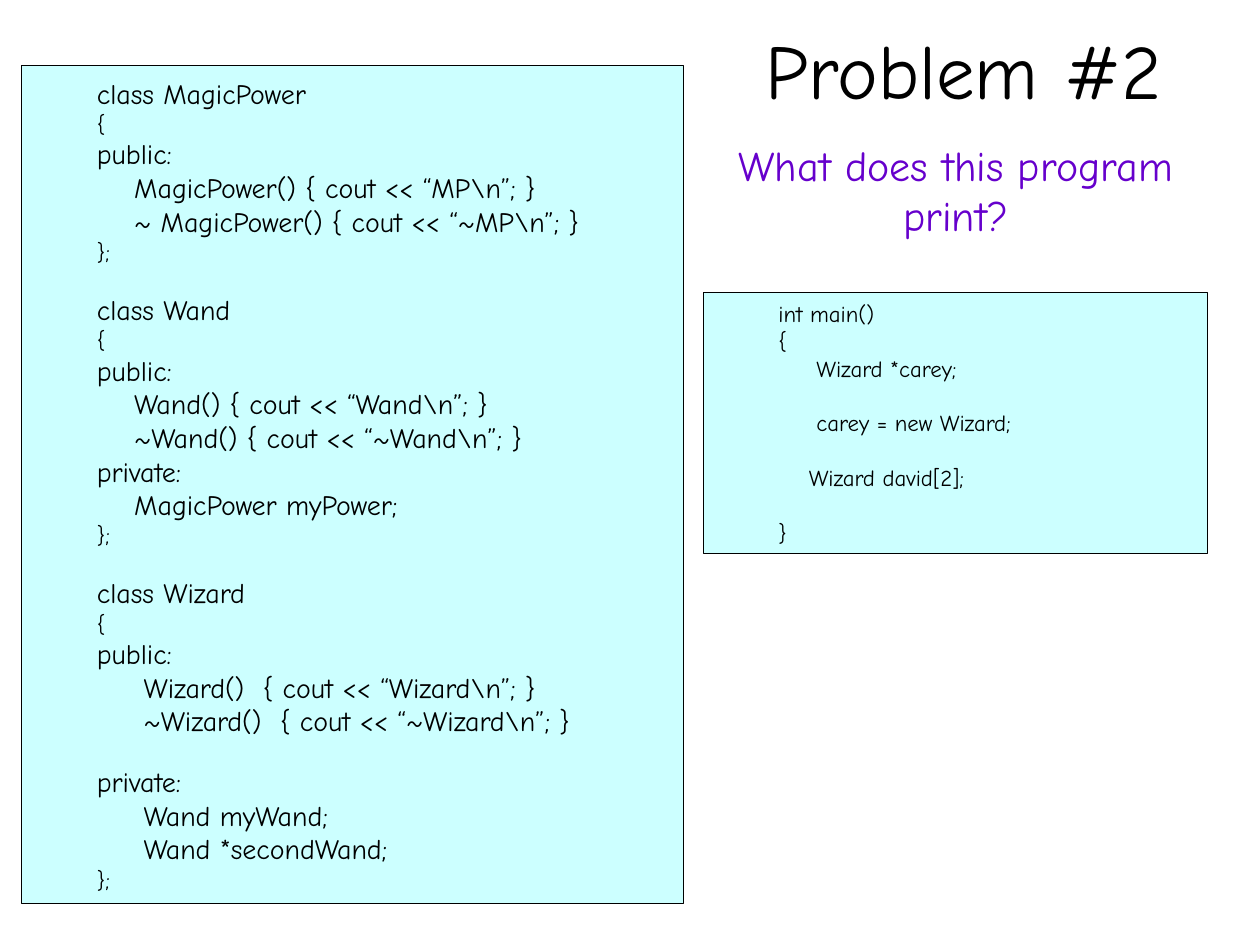
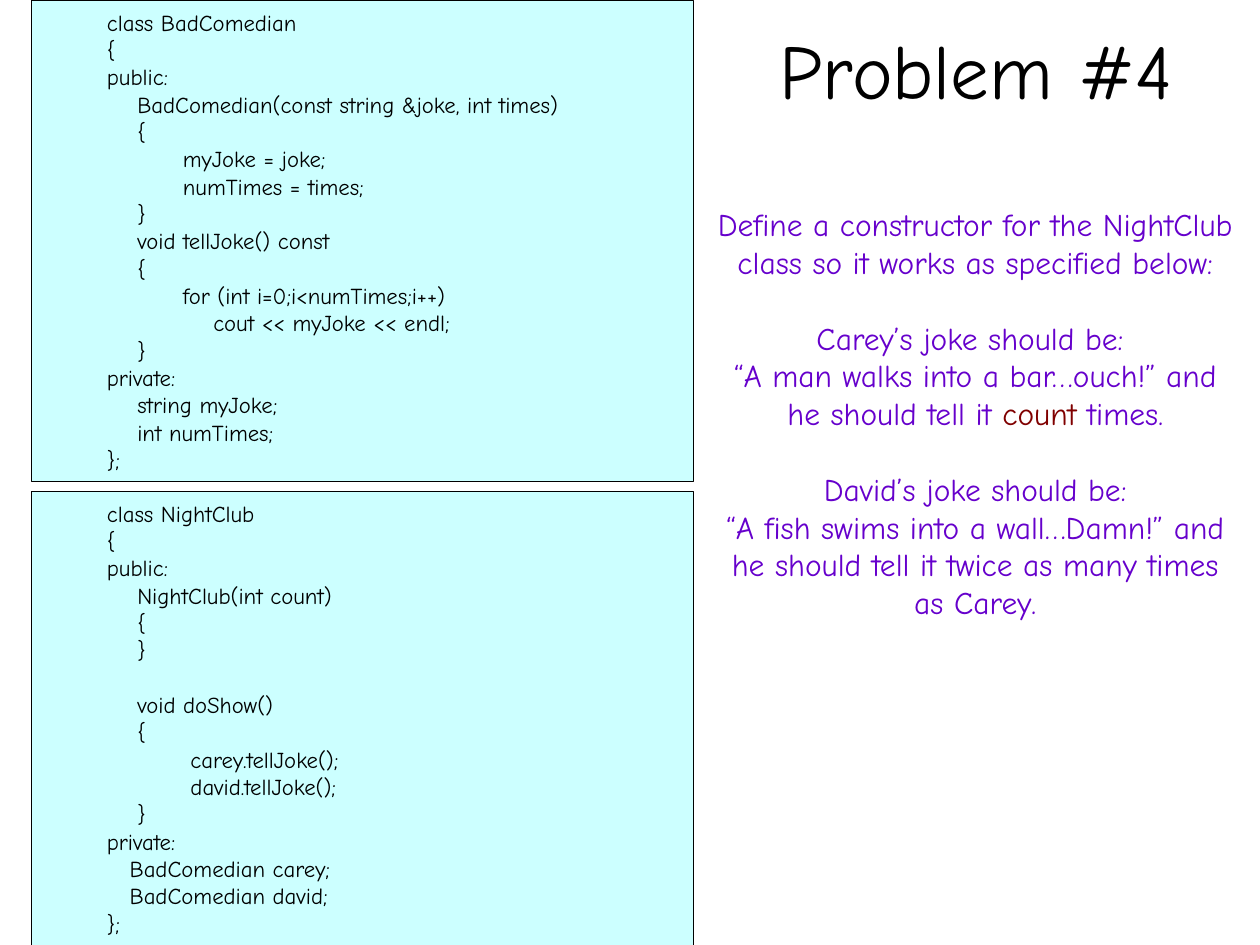
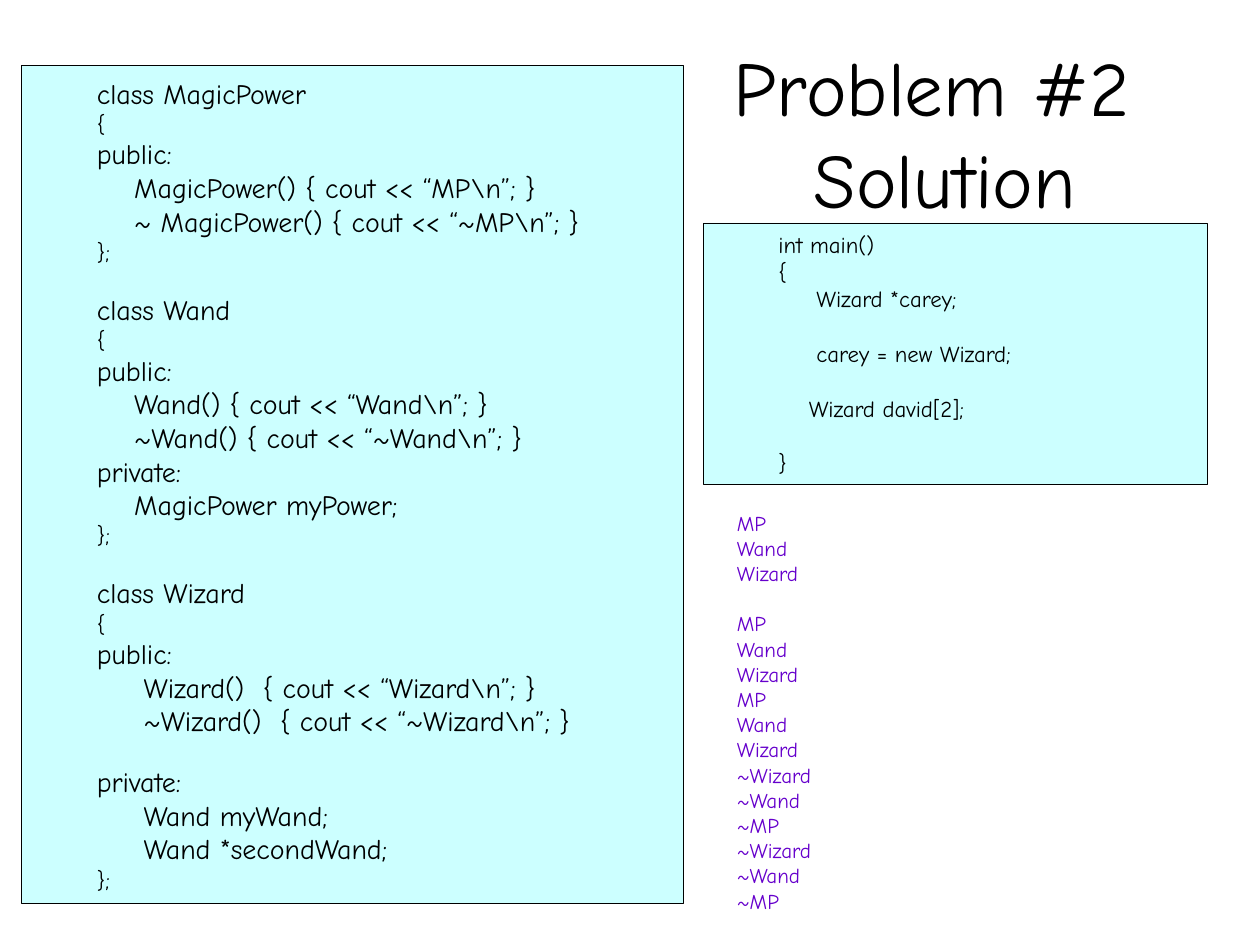
from pptx import Presentation
from pptx.dml.color import RGBColor
from pptx.enum.shapes import MSO_SHAPE
from pptx.enum.text import MSO_ANCHOR, MSO_AUTO_SIZE, PP_ALIGN
from pptx.util import Inches, Pt

RECTANGLE = MSO_SHAPE.RECTANGLE
MIDDLE, TOP = MSO_ANCHOR.MIDDLE, MSO_ANCHOR.TOP
GROW = MSO_AUTO_SIZE.SHAPE_TO_FIT_TEXT
LEFT, CENTER = PP_ALIGN.LEFT, PP_ALIGN.CENTER

FONT = "Comic Neue"
INK, PANEL, PURPLE, MAROON = "000000", "CCFFFF", "6600CC", "800000"
TITLE_SIZE, SMALL_CODE, LARGE_CODE = 44, 13, 16
LINE_HEIGHT, SPACE_WIDTH = 1.2, 0.334
CODE_MARGIN = Inches(0.5)

TITLE_BOX = (3.5, -0.08, 8.5, 1.25)
CLASSES_BOX = (0.17, 0.52, 5.25, 6.65)

WIZARD_CLASSES = r"""class MagicPower
{
public:
    MagicPower() { cout << “MP\n”; }
    ~ MagicPower() { cout << “~MP\n”; }
};

class Wand
{
public:
    Wand() { cout << “Wand\n”; }
    ~Wand() { cout << “~Wand\n”; }
private:
    MagicPower myPower;
};

class Wizard
{
public:
     Wizard()  { cout << “Wizard\n”; }
     ~Wizard()  { cout << “~Wizard\n”; }

private:
     Wand myWand;
     Wand *secondWand;
};"""

WIZARD_MAIN = """int main()
{
     Wizard *carey;

     carey = new Wizard;

    Wizard david[2];

}"""

COMEDIAN_CLASS = """class BadComedian
{
public:
    BadComedian(const string &joke, int times)
    {
          myJoke = joke;
          numTimes = times;
    }
    void tellJoke() const
    {
          for (int i=0;i<numTimes;i++)
              cout << myJoke << endl;
    }
private:
    string myJoke;
    int numTimes;
};"""

CLUB_CLASS = """class NightClub
{
public:
    NightClub(int count)
    {
    }

    void doShow()
    {
           carey.tellJoke();
           david.tellJoke();
    }
private:
   BadComedian carey;
   BadComedian david;
};"""

CLUB_TASK = [
    [("Define a constructor for the NightClub class so it works as specified below:", PURPLE)],
    [],
    [("Carey’s joke should be: ", PURPLE)],
    [("“A man walks into a bar…ouch!” and he should tell it ", PURPLE),
     ("count", MAROON), (" times.", PURPLE)],
    [],
    [("David’s joke should be:", PURPLE)],
    [("“A fish swims into a wall…Damn!” and he should tell it twice as many times as Carey.",
      PURPLE)],
]

BUILT = ["MP", "Wand", "Wizard"]
DESTROYED = ["~Wizard", "~Wand", "~MP"]
PRINTED = BUILT + [""] + BUILT * 2 + DESTROYED * 2


def color(hex_code):
    """Turn a hex string into a colour."""
    return RGBColor.from_string(hex_code)


def place(box):
    """Turn a box in inches into lengths."""
    return [Inches(length) for length in box]


def add_run(paragraph, text, size, hex_code):
    """Append one styled run."""
    run = paragraph.add_run()
    run.text = text
    run.font.name = FONT
    run.font.size = Pt(size)
    run.font.color.rgb = color(hex_code)


def prepare(frame, anchor):
    """Let a frame wrap, grow and anchor its text."""
    frame.word_wrap = True
    frame.auto_size = GROW
    frame.vertical_anchor = anchor


def spaced_paragraphs(frame, lines, gap_size):
    """Yield a paragraph with each filled line, turning empty lines into spacing."""
    paragraph, gap = frame.paragraphs[0], 0
    for number, line in enumerate(lines):
        if not line:
            gap += gap_size * LINE_HEIGHT
            continue
        if number:
            paragraph = frame.add_paragraph()
        paragraph.space_before = Pt(gap)
        gap = 0
        yield paragraph, line


def add_title(slide, lines, box=TITLE_BOX):
    """Write the large centred title."""
    frame = slide.shapes.add_textbox(*place(box)).text_frame
    prepare(frame, MIDDLE)
    frame.auto_size = None
    heading = frame.paragraphs[0]
    heading.alignment = CENTER
    for number, line in enumerate(lines):
        if number:
            heading.add_line_break()
        add_run(heading, line, TITLE_SIZE, INK)


def add_code(slide, code, box, size=SMALL_CODE):
    """Draw a code panel, with indents taken from the leading spaces."""
    panel = slide.shapes.add_shape(RECTANGLE, *place(box))
    panel.shadow.inherit = False
    panel.fill.solid()
    panel.fill.fore_color.rgb = color(PANEL)
    panel.line.color.rgb = color(INK)
    panel.line.width = Pt(0.25)
    prepare(panel.text_frame, MIDDLE)
    for paragraph, line in spaced_paragraphs(panel.text_frame, code.split("\n"), SMALL_CODE):
        statement = line.lstrip()
        depth = len(line) - len(statement)
        indent = CODE_MARGIN + Pt(depth * SPACE_WIDTH * size)
        properties = paragraph._p.get_or_add_pPr()
        properties.set("marL", "0")
        properties.set("indent", str(indent))
        paragraph.alignment = LEFT
        add_run(paragraph, statement, SMALL_CODE if statement in ("{", "};") else size, INK)


def add_prose(slide, lines, box, size, alignment=CENTER, anchor=MIDDLE, bottom=0.05):
    """Write the question or the answer beside the code."""
    frame = slide.shapes.add_textbox(*place(box)).text_frame
    prepare(frame, anchor)
    frame.margin_bottom = Inches(bottom)
    for paragraph, runs in spaced_paragraphs(frame, lines, size):
        paragraph.alignment = alignment
        for text, hex_code in runs:
            add_run(paragraph, text, size, hex_code)


def add_wizard_code(slide, main_top):
    """Place the wizard classes and the main function."""
    add_code(slide, WIZARD_CLASSES, CLASSES_BOX, LARGE_CODE)
    add_code(slide, WIZARD_MAIN, (5.58, main_top, 4, 2.07))


def wizard_problem(slide):
    """Build the wizard question."""
    add_title(slide, ["Problem #2 "])
    add_wizard_code(slide, 2.32)
    add_prose(slide, [[("What does this program print?", PURPLE)]], (5.67, 1.05, 3.83, 0.91), 24)


def club_problem(slide):
    """Build the night club question."""
    add_code(slide, COMEDIAN_CLASS, (0.25, 0, 5.25, 3.82))
    add_title(slide, ["Problem #4"])
    add_prose(slide, CLUB_TASK, (5.58, 1.41, 4.32, 4.04), 18, bottom=0.35)
    add_code(slide, CLUB_CLASS, (0.25, 3.9, 5.25, 3.6))


def wizard_solution(slide):
    """Build the wizard answer."""
    add_title(slide, ["Problem #2 ", "Solution"], (3.25, 0.42, 8.5, 1.25))
    add_wizard_code(slide, 1.77)
    printed = [[(word, PURPLE)] if word else [] for word in PRINTED]
    add_prose(slide, printed, (5.75, 4, 3.67, 3.33), 12, LEFT, TOP)


def main():
    """Build and save the presentation."""
    deck = Presentation()
    deck.slide_width, deck.slide_height = Inches(10), Inches(7.5)
    for build in (wizard_problem, club_problem, wizard_solution):
        build(deck.slides.add_slide(deck.slide_layouts[6]))
    deck.save("out.pptx")


main()
